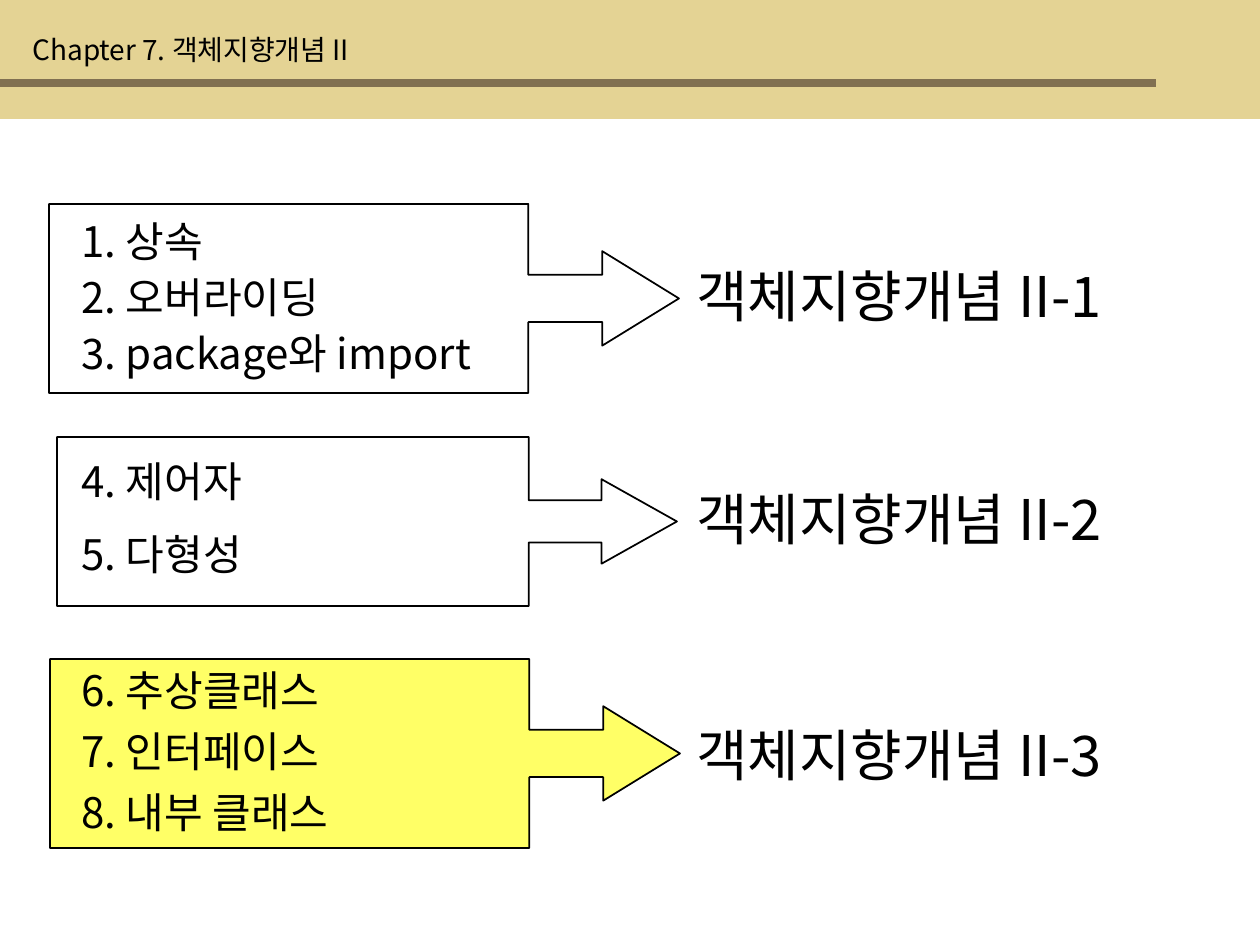
from lxml import etree
from pptx import Presentation
from pptx import util as u
from pptx.dml.color import RGBColor
from pptx.enum import shapes, text
from pptx.oxml.ns import qn

FONT = "Noto Sans CJK KR"
BLACK, SAND, BROWN, YELLOW = "000000", "E4D394", "817051", "FFFF66"
CHAPTER = "Chapter 7. 객체지향개념 II"
BANDS = [((0, 0, 1260, 119), SAND), ((0, 79, 1156, 8), BROWN)]
SECTIONS = [
    dict(part="객체지향개념 II-1", part_top=255, callout=(49, 204, 630, 189), head=0.406, fill=None,
         topics=["1. 상속", "2. 오버라이딩", "3. package와 import"], first=209, pitch=56, width=670),
    dict(part="객체지향개념 II-2", part_top=478, callout=(57, 437, 620, 169), head=0.446, fill=None,
         topics=["4. 제어자", "5. 다형성"], first=449, pitch=73, width=809),
    dict(part="객체지향개념 II-3", part_top=714, callout=(50, 659, 630, 189), head=0.406, fill=YELLOW,
         topics=["6. 추상클래스", "7. 인터페이스", "8. 내부 클래스"], first=658, pitch=61, width=809),
]


def px(length):
    """Turn px into EMU."""
    return u.Emu(round(length * 914400 / 126))


def color(hex_string):
    """Turn a hex string into a colour."""
    return RGBColor.from_string(hex_string)


def add_shape(slide, preset, box, fill=None, line=None):
    """Add a preset shape with optional fill and outline."""
    shape = slide.shapes.add_shape(preset, *map(px, box))
    shape.shadow.inherit = False
    if fill:
        shape.fill.solid()
        shape.fill.fore_color.rgb = color(fill)
    else:
        shape.fill.background()
    if line:
        shape.line.color.rgb = color(line)
        shape.line.width = u.Pt(1)
    else:
        shape.line.fill.background()
    return shape


def write(holder, words, box, size):
    """Place a text holder and fill it with one formatted line."""
    holder.left, holder.top, holder.width, holder.height = map(px, box)
    frame = holder.text_frame
    frame.word_wrap = True
    frame.auto_size = text.MSO_AUTO_SIZE.SHAPE_TO_FIT_TEXT
    frame.vertical_anchor = text.MSO_ANCHOR.TOP
    paragraph = frame.paragraphs[0]
    paragraph.alignment = text.PP_ALIGN.LEFT
    run = paragraph.add_run()
    run.text = words
    run.font.size = u.Pt(size)
    run.font.color.rgb = color(BLACK)
    run.font.name = FONT
    etree.SubElement(run._r.get_or_add_rPr(), qn("a:ea")).set("typeface", FONT)


def add_text(slide, words, box, size):
    """Add a text box."""
    write(slide.shapes.add_textbox(0, 0, 0, 0), words, box, size)


def main():
    """Build the chapter overview slide."""
    deck = Presentation()
    deck.slide_width, deck.slide_height = px(1260), px(945)
    slide = deck.slides.add_slide(deck.slide_layouts[5])
    for box, fill in BANDS:
        add_shape(slide, shapes.MSO_SHAPE.RECTANGLE, box, fill)
    title = slide.shapes.title
    write(title, CHAPTER, (20, 26, 546, 47), 16)
    slide.shapes._spTree.append(title._element)

    for section in SECTIONS:
        callout = add_shape(slide, shapes.MSO_SHAPE.RIGHT_ARROW_CALLOUT,
                            section["callout"], section["fill"], BLACK)
        for index, ratio in enumerate((0.25, 0.25, section["head"], 0.761)):
            callout.adjustments[index] = ratio
        for row, topic in enumerate(section["topics"]):
            top = section["first"] + row * section["pitch"]
            add_text(slide, topic, (69, top, section["width"], 63), 24)
        add_text(slide, section["part"], (684, section["part_top"], 541, 81), 32)
    deck.save("out.pptx")


if __name__ == "__main__":
    main()
